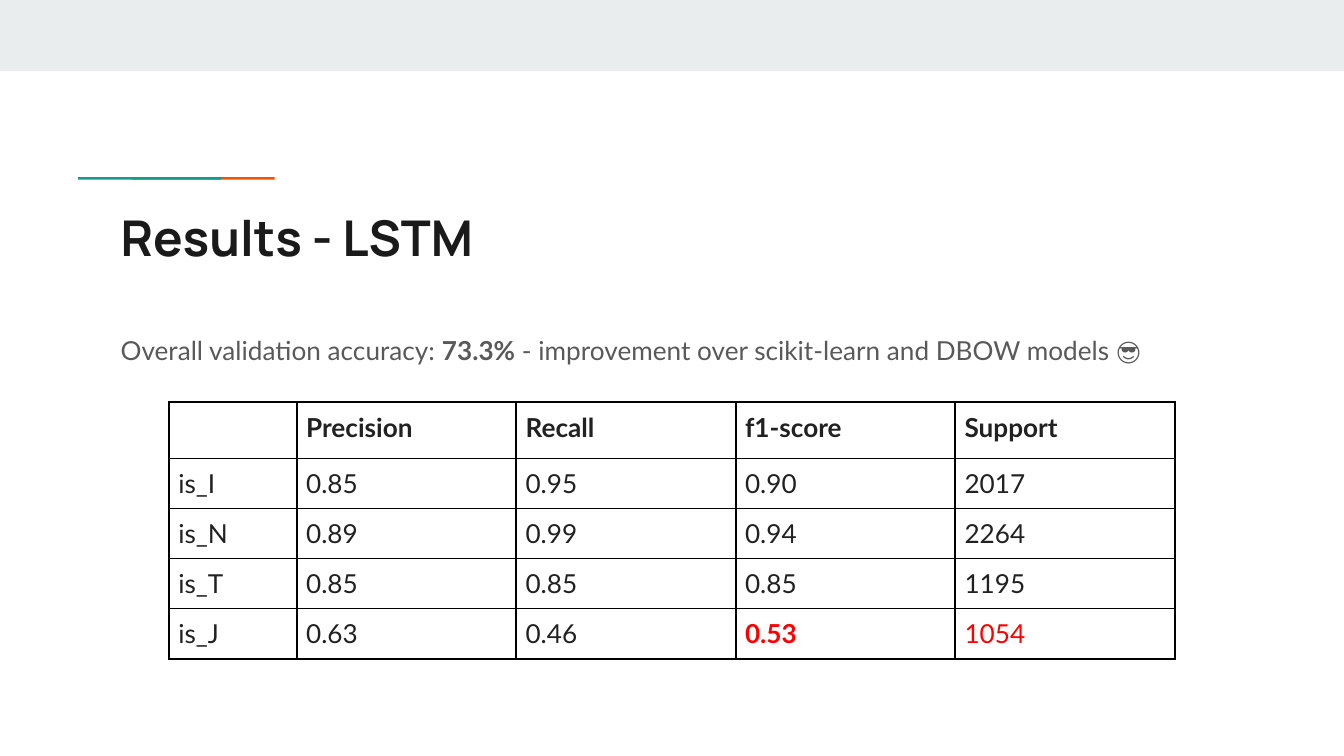
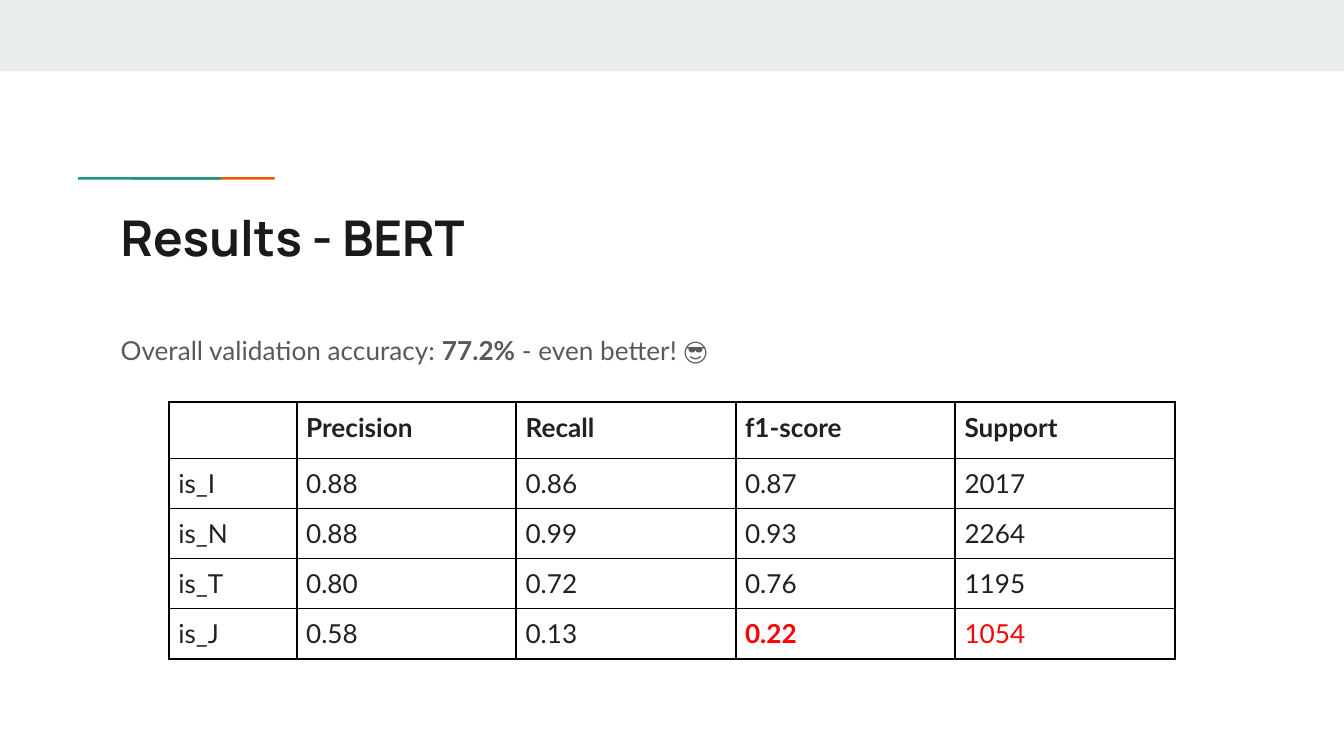
from lxml import etree
from pptx import Presentation
from pptx import util as u
from pptx.dml.color import RGBColor
from pptx.enum import shapes, text
from pptx.oxml import ns

BAND = RGBColor(0xE9, 0xED, 0xEE)
TEAL = RGBColor(0x1A, 0x99, 0x88)
ORANGE = RGBColor(0xEB, 0x56, 0x00)
INK = RGBColor(0x1A, 0x1A, 0x1A)
GREY = RGBColor(0x59, 0x59, 0x59)
DARK = RGBColor(0x21, 0x21, 0x21)
RED = RGBColor(0xFF, 0x00, 0x00)
BLACK = RGBColor(0x00, 0x00, 0x00)

HEAD = ["", "Precision", "Recall", "f1-score", "Support"]
LABELS = ["is_I", "is_N", "is_T", "is_J"]
SUPPORT = ["2017", "2264", "1195", "1054"]
RESULTS = [
    ("LSTM", "73.3%", " - improvement over scikit-learn and DBOW models 😎",
     [("0.85", "0.95", "0.90"), ("0.89", "0.99", "0.94"),
      ("0.85", "0.85", "0.85"), ("0.63", "0.46", "0.53")]),
    ("BERT", "77.2%", " - even better! 😎",
     [("0.88", "0.86", "0.87"), ("0.88", "0.99", "0.93"),
      ("0.80", "0.72", "0.76"), ("0.58", "0.13", "0.22")]),
]


class Deck:
    """Hold the shared style and the current slide."""

    def __init__(self):
        self.prs = Presentation()
        self.prs.slide_width, self.prs.slide_height = u.Pt(720), u.Pt(405)

    def start(self):
        self.slide = self.prs.slides.add_slide(self.prs.slide_layouts[1])
        self.bar(self.slide.shapes, 0, 0, 720, 38.2, BAND)
        self.accent()

    def bar(self, host, left, top, width, height, color):
        box = host.add_shape(
            shapes.MSO_SHAPE.RECTANGLE, *map(u.Pt, (left, top, width, height)))
        box.shadow.inherit = False
        box.fill.solid()
        box.fill.fore_color.rgb = color
        box.line.fill.background()
        return box

    def accent(self):
        group = self.slide.shapes.add_group_shape()
        for left, color in ((11.1, ORANGE), (0, TEAL)):
            box = self.bar(group.shapes, left, 0, 1.4, 29.5, color)
            box.rotation = 270
        group.left, group.top = u.Pt(78.3), u.Pt(80.8)
        group.width, group.height = u.Pt(32.4), u.Pt(29.5)

    def font(self, para, name, size, color):
        para.font.name = name
        para.font.size = u.Pt(size)
        para.font.color.rgb = color

    def place(self, holder, top, height):
        holder.left, holder.top = u.Pt(57.4), u.Pt(top)
        holder.width, holder.height = u.Pt(605.5), u.Pt(height)
        frame = holder.text_frame
        frame.word_wrap = True
        frame.auto_size = text.MSO_AUTO_SIZE.NONE
        frame.vertical_anchor = text.MSO_ANCHOR.TOP
        frame.margin_left = frame.margin_right = u.Pt(7.2)
        frame.margin_top = frame.margin_bottom = u.Pt(7.2)
        para = frame.paragraphs[0]
        para.alignment = text.PP_ALIGN.LEFT
        para.space_before = u.Pt(0)
        return para

    def title(self, words):
        para = self.place(self.slide.shapes.title, 103.7, 42.5)
        para.add_run().text = words
        self.font(para, "Manrope", 26.4, INK)
        para.font.bold = True

    def body(self, runs):
        para = self.place(self.slide.placeholders[1], 163.4, 219.6)
        para.line_spacing = 1.5
        para.space_after = u.Pt(12)
        self.font(para, "Lato", 14, GREY)
        for words, bold in runs:
            run = para.add_run()
            run.text = words
            run.font.bold = bold
        props = para._p.get_or_add_pPr()
        props.set("marL", "0")
        props.set("indent", "0")
        bullet = etree.Element(ns.qn("a:buNone"))
        props.find(ns.qn("a:defRPr")).addprevious(bullet)

    def border(self, cell):
        props = cell._tc.get_or_add_tcPr()
        for side in "LRTB":
            line = etree.SubElement(props, ns.qn(f"a:ln{side}"), w=str(u.Pt(1)))
            fill = etree.SubElement(line, ns.qn("a:solidFill"))
            etree.SubElement(fill, ns.qn("a:srgbClr"), val=str(BLACK))

    def cell(self, cell, words, color, bold, align):
        self.border(cell)
        cell.fill.background()
        cell.margin_left = cell.margin_right = u.Pt(5)
        cell.margin_top = cell.margin_bottom = u.Pt(5)
        para = cell.text_frame.paragraphs[0]
        para.alignment = align
        para.add_run().text = words
        self.font(para, "Lato", 14, color)
        para.font.bold = bold

    def table(self, rows):
        widths = [68.5] + [117.6] * 4
        heights = [30.1] + [26.8] * 4
        grid = self.slide.shapes.add_table(
            len(rows), len(HEAD), u.Pt(90.5), u.Pt(215.5),
            u.Pt(sum(widths)), u.Pt(sum(heights))).table
        grid.first_row = grid.horz_banding = False
        for col, width in zip(grid.columns, widths):
            col.width = u.Pt(width)
        for row, height in zip(grid.rows, heights):
            row.height = u.Pt(height)
        for r, row in enumerate(rows):
            for c, words in enumerate(row):
                weak = r == len(rows) - 1 and c >= 3
                self.cell(grid.cell(r, c), words, RED if weak else DARK,
                          r == 0 or (weak and c == 3),
                          text.PP_ALIGN.LEFT if r else text.PP_ALIGN.JUSTIFY)


def main():
    deck = Deck()
    for model, score, note, scores in RESULTS:
        deck.start()
        deck.title(f"Results - {model}")
        deck.body([("Overall validation accuracy: ", False),
                   (score, True), (note, False)])
        deck.table([HEAD] + [[label, *vals, count] for label, vals, count
                             in zip(LABELS, scores, SUPPORT)])
    deck.prs.save("out.pptx")


if __name__ == "__main__":
    main()
